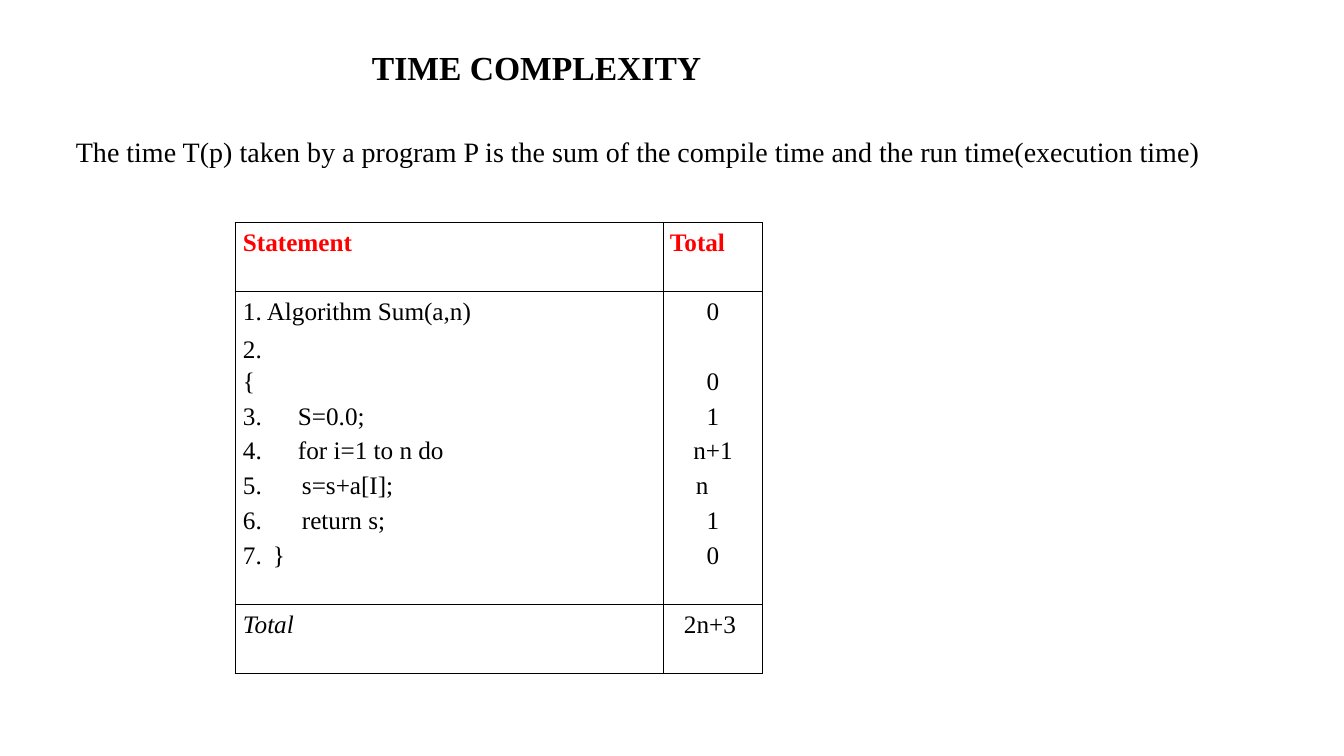
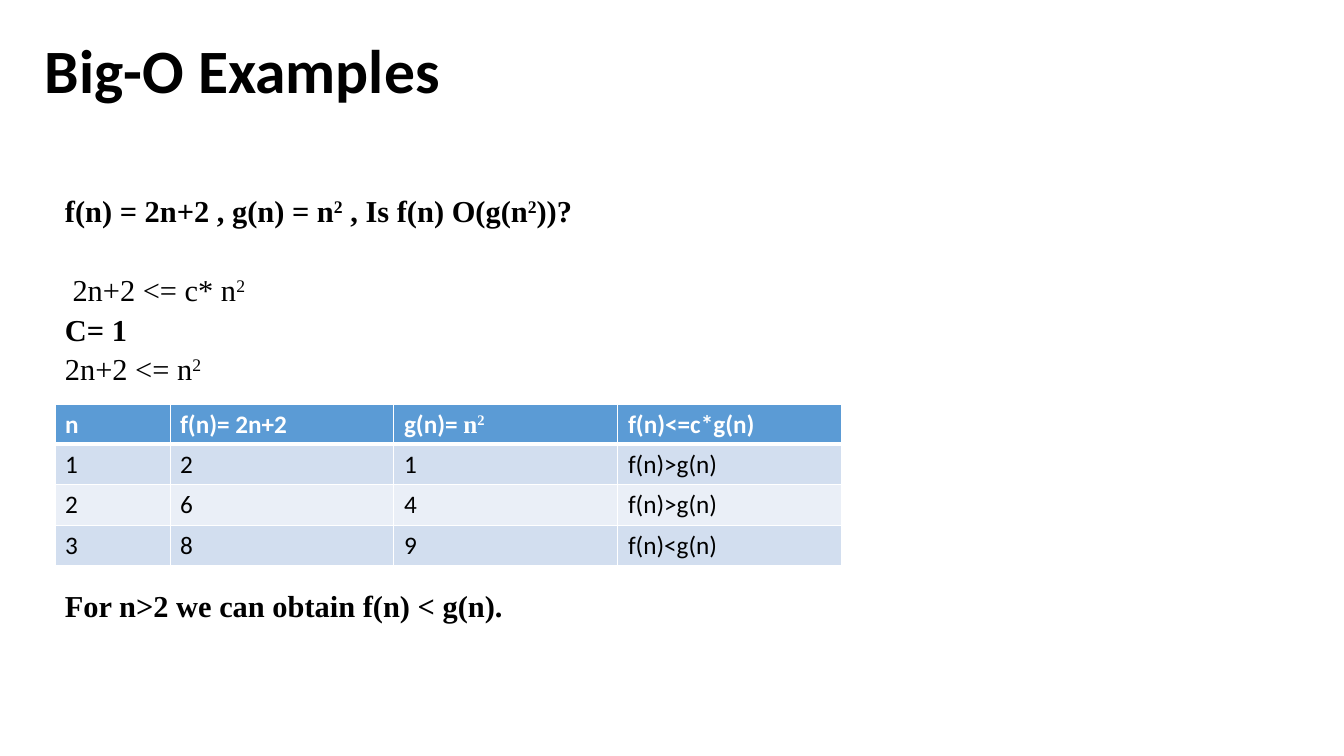
from lxml import etree
from pptx import Presentation
from pptx.dml.color import RGBColor
from pptx.enum.text import MSO_ANCHOR, PP_ALIGN
from pptx.oxml.ns import qn
from pptx.util import Pt

TOP, MID, LOW = MSO_ANCHOR.TOP, MSO_ANCHOR.MIDDLE, MSO_ANCHOR.BOTTOM
LEFT, MIDDLE = PP_ALIGN.LEFT, PP_ALIGN.CENTER
SERIF, SANS = "Times New Roman", "Calibri"
BLACK, WHITE, RED = "000000", "FFFFFF", "FF0000"
BLUE, PALE, LIGHT = "5B9BD5", "D2DEEF", "EAEFF7"
PLAIN = "{2D5ABB26-0587-4C30-8999-92F81FD0307C}"
SCALE = 914400 / 100.8
THIN, THICK = 0.75, 3


def px(n):
    return round(n * SCALE)


def color(code):
    return RGBColor.from_string(code)


def add_run(para, text, size, face=SERIF, tint=BLACK, bold=False,
            slant=False, sup=False):
    run = para.add_run()
    run.text = text
    font = run.font
    font.size, font.name = Pt(size), face
    font.bold, font.italic = bold, slant
    font.color.rgb = color(tint)
    if sup:
        run._r.get_or_add_rPr().set("baseline", "30000")


def add_text(slide, box, lines, size, anchor=TOP, lead=1.0, **base):
    """Each line is (space before, runs); each run is (text, changes)."""
    frame = slide.shapes.add_textbox(*map(px, box)).text_frame
    frame.word_wrap = True
    frame.vertical_anchor = anchor
    for i, (gap, runs) in enumerate(lines):
        para = frame.add_paragraph() if i else frame.paragraphs[0]
        para.line_spacing = lead
        para.space_before = Pt(gap)
        for text, diff in runs:
            add_run(para, text, size, **{**base, **diff})


def add_grid(slide, left, top, cols, rows):
    """Add a table without style; cols in px, rows in EMU."""
    frame = slide.shapes.add_table(len(rows), len(cols), px(left), px(top),
                                   px(sum(cols)), sum(rows))
    grid = frame.table
    grid.first_row = grid.horz_banding = False
    frame._element.find(".//" + qn("a:tableStyleId")).text = PLAIN
    for col, wide in zip(grid.columns, cols):
        col.width = px(wide)
    for row, high in zip(grid.rows, rows):
        row.height = high
    return grid


def add_edges(cell, sides, tint):
    """Draw borders; sides maps L, R, T, B, in that order, to points."""
    props = cell._tc.get_or_add_tcPr()
    for side, width in sides.items():
        line = etree.SubElement(props, qn("a:ln" + side), w=str(Pt(width)))
        if width:
            fill = etree.SubElement(line, qn("a:solidFill"))
            etree.SubElement(fill, qn("a:srgbClr"), val=tint)
        else:
            etree.SubElement(line, qn("a:noFill"))


def add_steps(slide, left, top, cols, high):
    """Statement table: label, code, code indent, count, indent, style."""
    blank = ("", "", 0, "", 0, {})
    steps = [
        ("Statement", "", 0, "Total", 7, {"tint": RED, "bold": True}),
        blank,
        ("1. Algorithm Sum(a,n)", "", 0, "0", 0, {}),
        ("2.{", "", 0, "0", 0, {}),
        ("3.", "S=0.0;", 25, "1", 0, {}),
        ("4.", "for i=1 to n do", 25, "n+1", 0, {}),
        ("5.", "s=s+a[I];", 29, "n", 33, {}),
        ("6.", "return s;", 29, "1", 0, {}),
        ("7.", "}", 0, "0", 0, {}),
        blank,
        ("Total", "", 0, "2n+3", 21, {"slant": True}),
        blank,
    ]
    units = [2 if step[0] == "2.{" else 1 for step in steps]
    grid = add_grid(slide, left, top, cols,
                    [px(high * unit / sum(units)) for unit in units])
    ruled, joined = (1, 9, 11), (0, 1, 2, 10, 11)
    for r, (label, code, dent, count, shift, style) in enumerate(steps):
        wide = r in joined
        tally = {**style, "slant": False}
        parts = ((label, 8, style), (code, dent, style), (count, shift, tally))
        for c, (text, inset, look) in enumerate(parts):
            cell = grid.cell(r, c)
            cell.margin_left = px(inset)
            cell.margin_right = cell.margin_top = cell.margin_bottom = 0
            cell.vertical_anchor = LOW
            para = cell.text_frame.paragraphs[0]
            para.alignment = MIDDLE if c == 2 and not inset else LEFT
            if text:
                para.line_spacing = 1.15
                add_run(para, text, 18, **look)
            drawn = {"L": c != 1, "R": c or wide,
                     "T": r == 0 or r - 1 in ruled, "B": r in ruled}
            add_edges(cell, {s: THIN if on else 0
                             for s, on in drawn.items()}, BLACK)
            cell.fill.background()
        if wide:
            grid.cell(r, 0).merge(grid.cell(r, 1))


def add_values(slide, left, top, cols, high):
    """Banded table that compares f(n) with g(n)."""
    rows = [
        ("n", "f(n)= 2n+2", "g(n)= ", "f(n)<=c*g(n)"),
        ("1", "2", "1", "f(n)>g(n)"),
        ("2", "6", "4", "f(n)>g(n)"),
        ("3", "8", "9", "f(n)<g(n)"),
    ]
    grid = add_grid(slide, left, top, cols, [px(high)] * len(rows))
    for r, row in enumerate(rows):
        look = {"tint": BLACK if r else WHITE, "bold": not r}
        band = BLUE if r == 0 else PALE if r % 2 else LIGHT
        for c, text in enumerate(row):
            cell = grid.cell(r, c)
            para = cell.text_frame.paragraphs[0]
            add_run(para, text, 18, SANS, **look)
            if (r, c) == (0, 2):
                add_run(para, "n", 18, **look)
                add_run(para, "2", 18, sup=True, **look)
            add_edges(cell, {"L": THIN, "R": THIN,
                             "T": THICK if r == 1 else THIN,
                             "B": THIN if r else THICK}, WHITE)
            cell.fill.solid()
            cell.fill.fore_color.rgb = color(band)


def time_slide(slide):
    add_steps(slide, 235, 222, (38, 390, 100), 452)
    add_text(slide, (66, 130, 1185, 44), [(0, [(
        "The time T(p) taken by a program P is the sum of the compile time "
        "and the run time(execution time)", {})])], 20)
    add_text(slide, (362, 42, 353, 51), [(0, [("TIME COMPLEXITY", {})])],
             24, bold=True)


def big_slide(slide):
    sup, thin = {"sup": True}, {"bold": False}
    both = {**sup, **thin}
    add_text(slide, (35, 1, 1159, 146), [(0, [("Big-O Examples", {})])],
             44, MID, 0.9, face=SANS, bold=True)
    lines = [
        (0, [("f(n) = 2n+2 , g(n) = n", {}), ("2", sup),
             (" , Is f(n) O(g(n", {}), ("2", sup), ("))?", {})]),
        (38.6, [(" ", {}), ("2n+2 <= c* n", thin), ("2", both)]),
        (10, [("C= 1", {})]),
        (10, [("2n+2 <= n", thin), ("2", both)]),
    ]
    body = {"size": 21.7, "lead": 0.7, "bold": True}
    add_text(slide, (55, 197, 1159, 195), lines, **body)
    add_values(slide, 55, 404, (115, 224, 224, 224), 40)
    add_text(slide, (55, 592, 1159, 34),
             [(0, [("For n>2 we can obtain f(n) < g(n).", {})])], **body)


def main():
    deck = Presentation()
    deck.slide_width, deck.slide_height = px(1344), px(756)
    for build in (time_slide, big_slide):
        build(deck.slides.add_slide(deck.slide_layouts[6]))
    deck.save("out.pptx")


if __name__ == "__main__":
    main()
